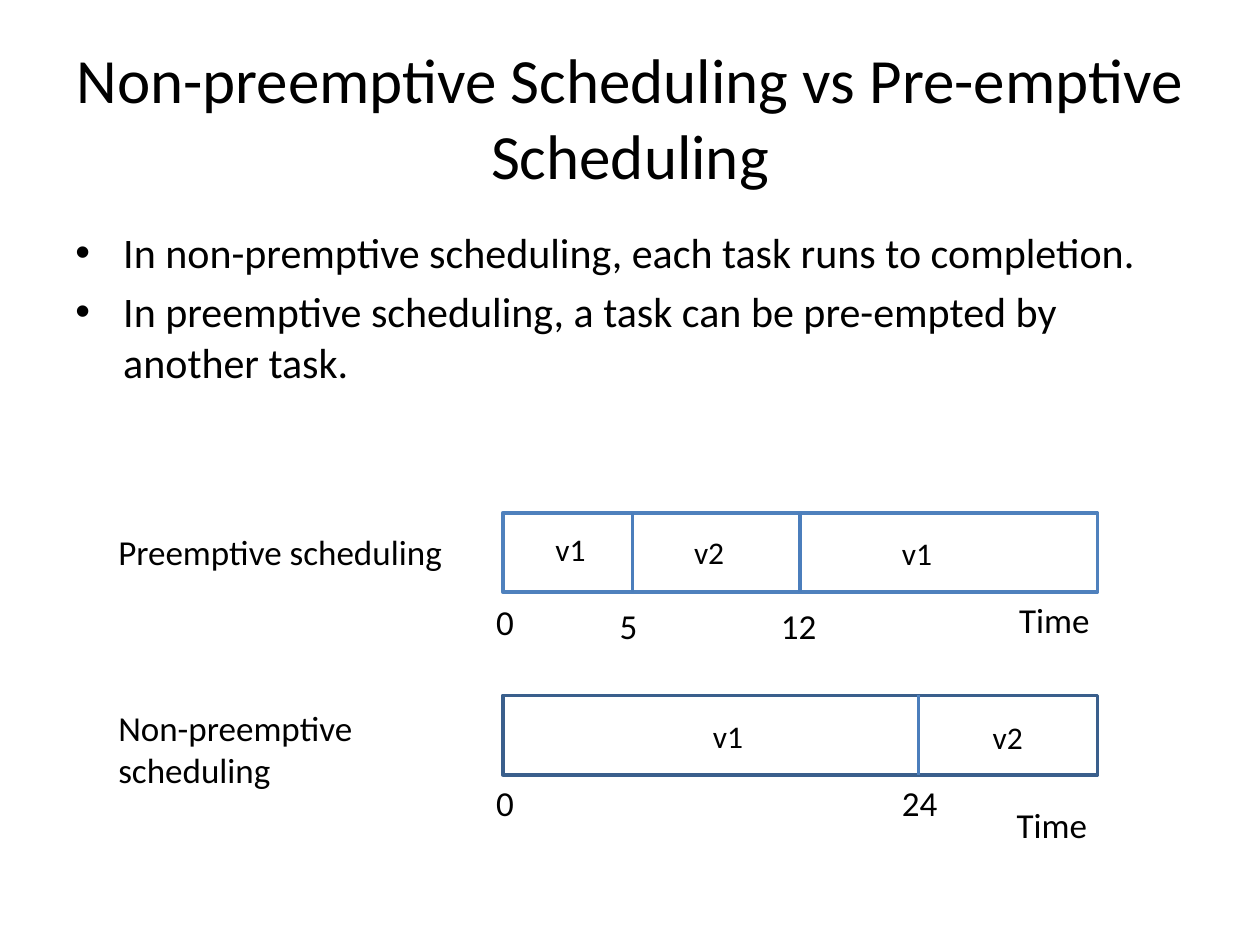
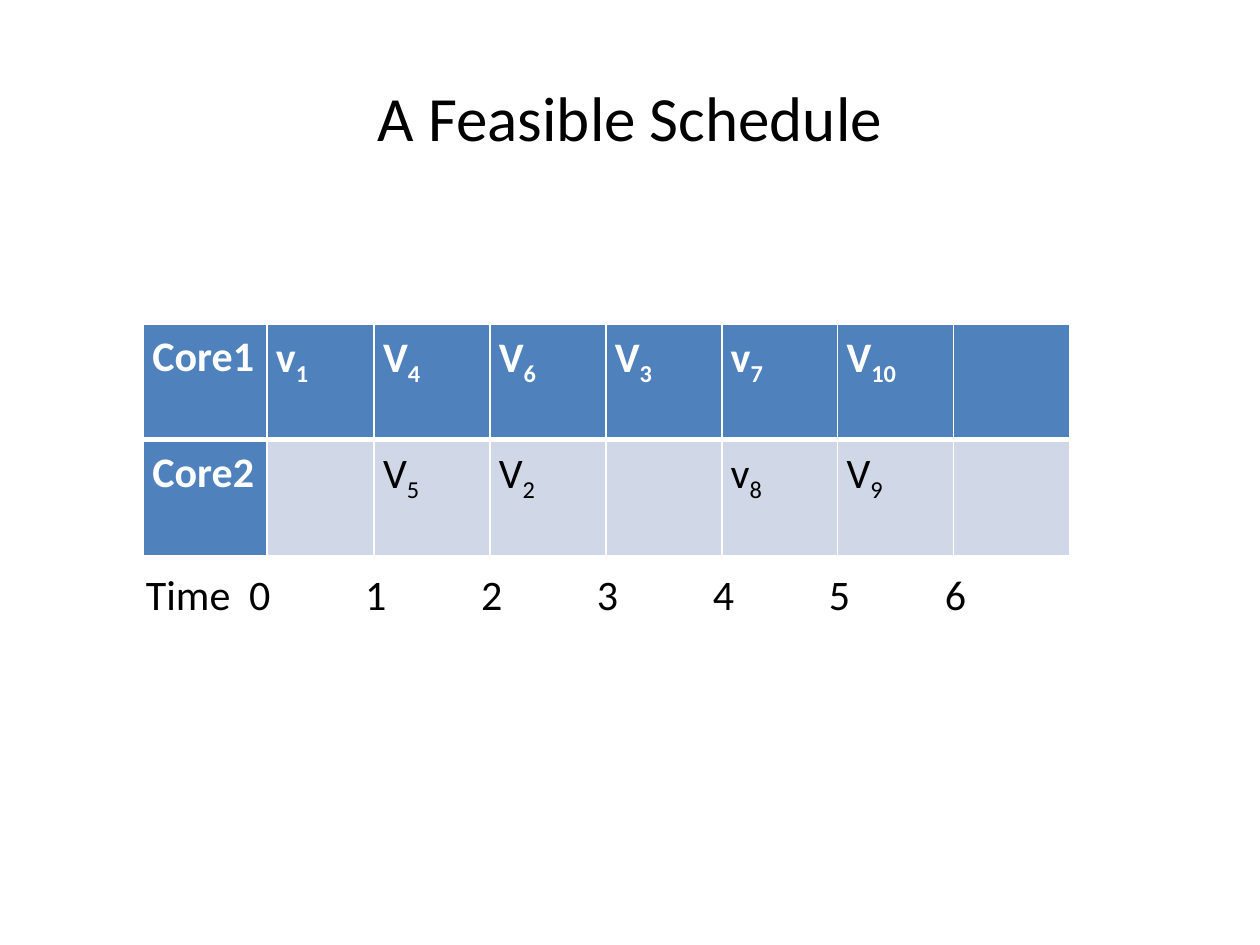
"""Build two slides on non-preemptive and preemptive task scheduling."""
from dataclasses import dataclass

from lxml import etree
from pptx import Presentation
from pptx.dml.color import RGBColor
from pptx.enum.shapes import MSO_CONNECTOR, MSO_SHAPE
from pptx.enum.text import MSO_ANCHOR, MSO_AUTO_SIZE, PP_ALIGN
from pptx.oxml.ns import qn
from pptx.util import Inches, Pt

RECTANGLE = MSO_SHAPE.RECTANGLE
STRAIGHT = MSO_CONNECTOR.STRAIGHT
CENTER = PP_ALIGN.CENTER
MIDDLE = MSO_ANCHOR.MIDDLE
NO_AUTOFIT = MSO_AUTO_SIZE.NONE
TITLE_ONLY = 5
TOP_SITE, BOTTOM_SITE = 0, 2


@dataclass(frozen=True)
class Theme:
    font: str = "Calibri"
    black: RGBColor = RGBColor.from_string("000000")
    white: RGBColor = RGBColor.from_string("FFFFFF")
    blue: RGBColor = RGBColor.from_string("4F81BD")
    dark_blue: RGBColor = RGBColor.from_string("3A5F8C")
    divider: RGBColor = RGBColor.from_string("4B7EBC")
    pale_blue: RGBColor = RGBColor.from_string("D0D8E8")
    title_size: Pt = Pt(36)
    body_size: Pt = Pt(24)
    label_size: Pt = Pt(20)
    task_size: Pt = Pt(18)


theme = Theme()


def style_font(font, size, color=theme.black, bold=False):
    font.name, font.size, font.bold = theme.font, size, bold
    font.color.rgb = color


def add_text(page, lines, left, top, width, height, size):
    box = page.shapes.add_textbox(Inches(left), Inches(top), Inches(width), Inches(height))
    frame = box.text_frame
    frame.word_wrap = True
    frame.text = "\n".join(lines)
    for para in frame.paragraphs:
        style_font(para.font, size)
    return frame.paragraphs


deck = Presentation()
deck.slide_width, deck.slide_height = Inches(10), Inches(7.5)

pages = []
for heading in ("Non-preemptive Scheduling vs Pre-emptive Scheduling", "A Feasible Schedule"):
    page = deck.slides.add_slide(deck.slide_layouts[TITLE_ONLY])
    title = page.shapes.title
    title.left, title.top = Inches(0.5), Inches(0.3)
    title.width, title.height = Inches(9), Inches(1.25)
    title.text_frame.text = heading
    title.text_frame.auto_size = NO_AUTOFIT
    title.text_frame.vertical_anchor = MIDDLE
    title_para = title.text_frame.paragraphs[0]
    title_para.alignment = CENTER
    style_font(title_para.font, theme.title_size)
    pages.append(page)
comparison_page, schedule_page = pages

definitions = [
    "In non-premptive scheduling, each task runs to completion.",
    "In preemptive scheduling, a task can be pre-empted by another task.",
]
for para in add_text(comparison_page, definitions, 0.5, 1.75, 9, 4.95, theme.body_size):
    para.space_before = Pt(5)
    properties = para._p.get_or_add_pPr()
    properties.set("marL", str(Inches(0.38)))
    properties.set("indent", str(-Inches(0.38)))
    etree.SubElement(properties, qn("a:buFont"), typeface="Arial")
    etree.SubElement(properties, qn("a:buChar"), char="•")
    properties.append(properties.find(qn("a:defRPr")))

bar_left, bar_width, bar_height = 3.99, 4.72, 0.63
timelines = [
    dict(
        name="Preemptive scheduling", name_top=4.16, name_height=0.44,
        top=4.07, outline=theme.blue, splits=[5.02, 6.35],
        tasks=[("v1", 4.31, 4.16), ("v2", 5.41, 4.18), ("v1", 7.06, 4.19)],
        ticks=[("0", 3.84, 4.72), ("5", 4.82, 4.75), ("12", 6.1, 4.75), ("Time", 7.99, 4.7)],
    ),
    dict(
        name="Non-preemptive scheduling", name_top=5.56, name_height=0.77,
        top=5.52, outline=theme.dark_blue, splits=[7.29],
        tasks=[("v1", 5.56, 5.64), ("v2", 7.78, 5.65)],
        ticks=[("0", 3.84, 6.15), ("24", 7.06, 6.15), ("Time", 7.97, 6.33)],
    ),
]
for timeline in timelines:
    top = timeline["top"]
    bar = comparison_page.shapes.add_shape(
        RECTANGLE, Inches(bar_left), Inches(top), Inches(bar_width), Inches(bar_height))
    bar.shadow.inherit = False
    bar.fill.solid()
    bar.fill.fore_color.rgb = theme.white
    bar.line.color.rgb = timeline["outline"]
    bar.line.width = Pt(2)
    for split in timeline["splits"]:
        divider = comparison_page.shapes.add_connector(
            STRAIGHT, Inches(split), Inches(top), Inches(split), Inches(top + bar_height))
        divider.line.color.rgb = theme.divider
        divider.line.width = Pt(2)
        etree.SubElement(divider._element.spPr, qn("a:effectLst"))
        if abs(split - bar_left - bar_width / 2) < 0.01:
            divider.begin_connect(bar, TOP_SITE)
            divider.end_connect(bar, BOTTOM_SITE)
    add_text(comparison_page, [timeline["name"]], 0.84, timeline["name_top"], 2.91,
             timeline["name_height"], theme.label_size)
    for task, left, task_top in timeline["tasks"]:
        add_text(comparison_page, [task], left, task_top, 0.79, 0.4, theme.task_size)
    for tick, left, tick_top in timeline["ticks"]:
        add_text(comparison_page, [tick], left, tick_top, 1.17, 0.44, theme.label_size)

core_rows = [
    ["Core1", "v1", "V4", "V6", "V3", "v7", "V10", ""],
    ["Core2", "", "V5", "V2", "", "v8", "V9", ""],
]
column_widths = [0.98, 0.85] + [0.92] * 6
schedule = schedule_page.shapes.add_table(
    len(core_rows), len(column_widths), Inches(1.14), Inches(2.57), Inches(7.32), Inches(1.84)).table
schedule.horz_banding = False
for column, width in zip(schedule.columns, column_widths):
    column.width = Inches(width)
for row_index, tasks in enumerate(core_rows):
    schedule.rows[row_index].height = Inches(0.92)
    for column_index, task in enumerate(tasks):
        cell = schedule.cell(row_index, column_index)
        is_header = row_index == 0 or column_index == 0
        cell.margin_left = cell.margin_right = Inches(0.07)
        cell.margin_top = cell.margin_bottom = 0
        for side in ("lnL", "lnR", "lnT", "lnB"):
            under_header = (row_index, side) in ((0, "lnB"), (1, "lnT"))
            border = etree.SubElement(
                cell._tc.get_or_add_tcPr(), qn(f"a:{side}"), w=str(Pt(3 if under_header else 1)))
            border_fill = etree.SubElement(border, qn("a:solidFill"))
            etree.SubElement(border_fill, qn("a:srgbClr"), val=str(theme.white))
        cell.fill.solid()
        cell.fill.fore_color.rgb = theme.blue if is_header else theme.pale_blue
        para = cell.text_frame.paragraphs[0]
        para.line_spacing = 1.15
        style_font(para.font, theme.body_size, theme.white if is_header else theme.black, is_header)
        parts = [task] if column_index == 0 else [task[:1], task[1:]]
        for part_index, part in enumerate(parts):
            if part:
                span = para.add_run()
                span.text = part
                style_font(span.font, theme.body_size,
                           theme.white if is_header else theme.black, is_header)
                if part_index == 1:
                    span._r.get_or_add_rPr().set("baseline", "-25000")

time_axis = "\t".join(["Time", *map(str, range(7))])
axis_para = add_text(schedule_page, [time_axis], 1.06, 4.46, 7.56, 0.5, theme.body_size)[0]
axis_properties = axis_para._p.get_or_add_pPr()
tab_list = etree.SubElement(axis_properties, qn("a:tabLst"))
for hour in range(7):
    etree.SubElement(tab_list, qn("a:tab"), pos=str(Inches(0.82 + 0.92 * hour)), algn="l")
axis_properties.append(axis_properties.find(qn("a:defRPr")))

deck.save("out.pptx")
